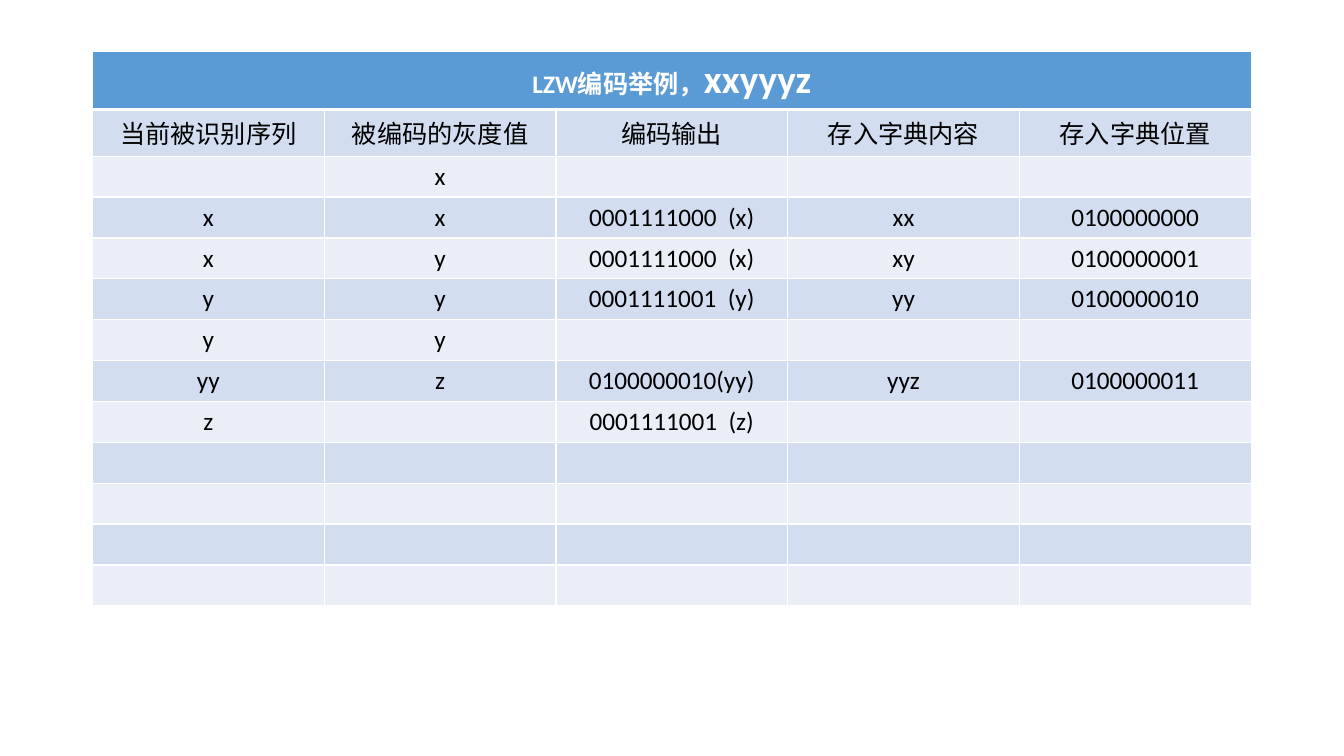
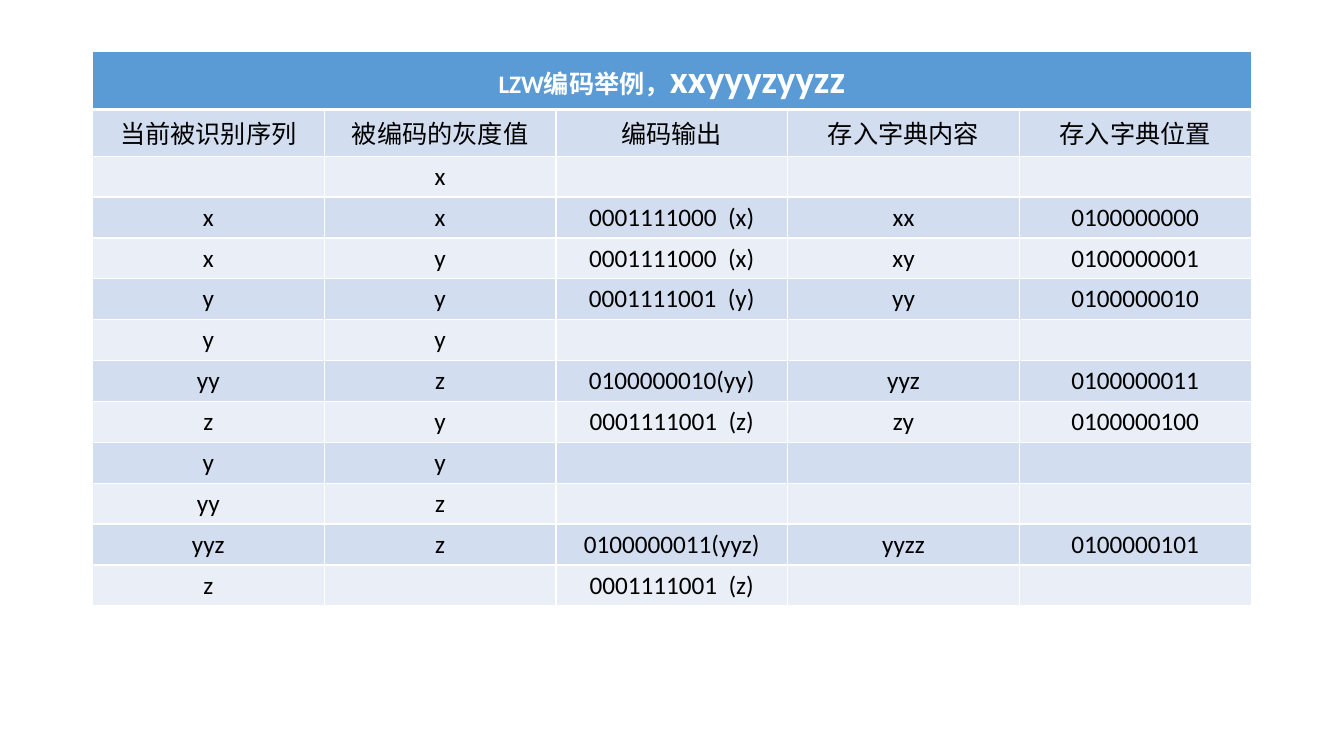
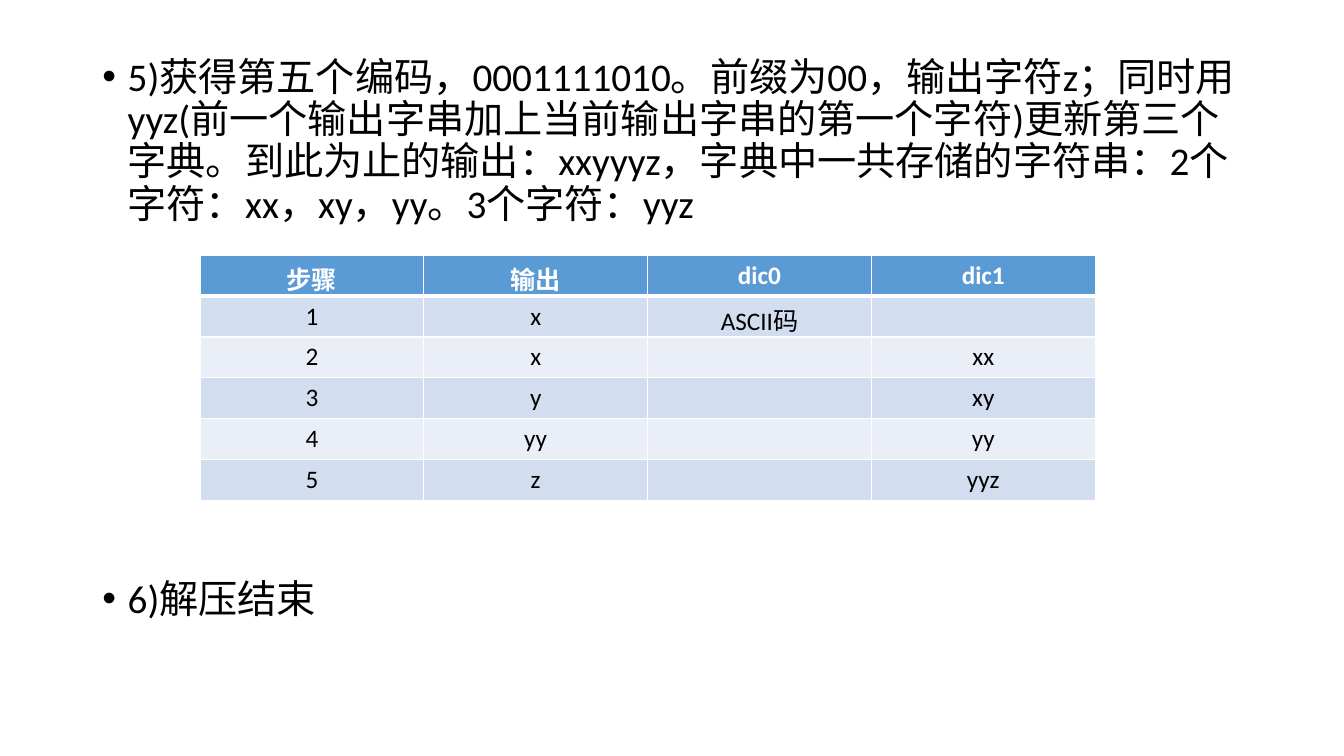
from pptx import Presentation
from pptx.dml.color import RGBColor
from pptx.enum.text import PP_ALIGN
from pptx.oxml.ns import qn
from pptx.util import Cm, Pt
from lxml.etree import SubElement

FONT = "Calibri"
HEADER_BLUE = RGBColor(0x5B, 0x9B, 0xD5)
BAND_DARK = RGBColor(0xD2, 0xDE, 0xEF)
BAND_LIGHT = RGBColor(0xEA, 0xEF, 0xF7)
WHITE = RGBColor(0xFF, 0xFF, 0xFF)
BLACK = RGBColor(0x00, 0x00, 0x00)

MARGIN_LEFT = Cm(2.33)
ROW_HEIGHT = Cm(1.03)
TABLE_SIZE = 18
LARGE_SIZE = 28
ENCODING_ROW_COUNT = 13

ENCODING_TITLE = "LZW编码举例，"
ENCODING_START = [
    ("当前被识别序列", "被编码的灰度值", "编码输出", "存入字典内容", "存入字典位置"),
    ("", "x", "", "", ""),
    ("x", "x", "0001111000  (x)", "xx", "0100000000"),
    ("x", "y", "0001111000  (x)", "xy", "0100000001"),
    ("y", "y", "0001111001  (y)", "yy", "0100000010"),
    ("y", "y", "", "", ""),
    ("yy", "z", "0100000010(yy)", "yyz", "0100000011"),
]
LAST_CODE = ("z", "", "0001111001  (z)", "", "")
ENCODINGS = [
    ("xxyyyz", [LAST_CODE]),
    ("xxyyyzyyzz", [
        ("z", "y", "0001111001  (z)", "zy", "0100000100"),
        ("y", "y", "", "", ""),
        ("yy", "z", "", "", ""),
        ("yyz", "z", "0100000011(yyz)", "yyzz", "0100000101"),
        LAST_CODE,
    ]),
]

DECODING_STEPS = [
    ("5)获得第五个编码，0001111010。前缀为00，输出字符z；同时用yyz(前一个输出字串加上当前输出字串的"
     "第一个字符)更新第三个字典。到此为止的输出：xxyyyz，字典中一共存储的字符串："
     "2个字符：xx，xy，yy。3个字符：yyz", 10),
    ("6)解压结束", 252),
]
DECODING_ROWS = [
    ("步骤", "输出", "dic0", "dic1"),
    ("1", "x", "ASCII码", ""),
    ("2", "x", "", "xx"),
    ("3", "y", "", "xy"),
    ("4", "yy", "", "yy"),
    ("5", "z", "", "yyz"),
]


def add_span(para, text, size, color, bold=False):
    span = para.add_run()
    span.text = text
    span.font.name = FONT
    span.font.size = Pt(size)
    span.font.bold = bold
    span.font.color.rgb = color


def add_borders(cell, row_index):
    widths = {
        "lnL": 1,
        "lnR": 1,
        "lnT": 3 if row_index == 1 else 1,
        "lnB": 3 if row_index == 0 else 1,
    }
    properties = cell._tc.get_or_add_tcPr()
    for side, width in widths.items():
        line = SubElement(properties, qn(f"a:{side}"), w=str(Pt(width)))
        fill = SubElement(line, qn("a:solidFill"))
        SubElement(fill, qn("a:srgbClr"), val=str(WHITE))


def add_banded_table(page, rows, left, top, column_width):
    column_count = len(rows[-1])
    table = page.shapes.add_table(
        len(rows), column_count, left, top,
        column_width * column_count, ROW_HEIGHT * len(rows),
    ).table
    for column in table.columns:
        column.width = column_width
    for row_index, row in enumerate(rows):
        table.rows[row_index].height = ROW_HEIGHT
        is_header = row_index == 0
        band = BAND_DARK if row_index % 2 else BAND_LIGHT
        for column_index in range(column_count):
            cell = table.cell(row_index, column_index)
            add_borders(cell, row_index)
            cell.fill.solid()
            cell.fill.fore_color.rgb = HEADER_BLUE if is_header else band
            para = cell.text_frame.paragraphs[0]
            para.alignment = PP_ALIGN.CENTER
            text = row[column_index] if column_index < len(row) else ""
            if text:
                add_span(para, text, TABLE_SIZE, WHITE if is_header else BLACK, is_header)
    return table


def add_encoding_page(deck, sequence, ending):
    page = deck.slides.add_slide(deck.slide_layouts[6])
    rows = [(ENCODING_TITLE,)] + ENCODING_START + ending
    blank_row = ("",) * len(ENCODING_START[0])
    rows += [blank_row] * (ENCODING_ROW_COUNT - len(rows))
    table = add_banded_table(page, rows, MARGIN_LEFT, Cm(1.3), Cm(5.84))
    title = table.cell(0, 0)
    title.merge(table.cell(0, len(blank_row) - 1))
    add_span(title.text_frame.paragraphs[0], sequence, LARGE_SIZE, WHITE, True)


def add_bullet(para):
    properties = para._p.get_or_add_pPr()
    indent = Cm(0.64)
    properties.set("marL", str(indent))
    properties.set("indent", str(-indent))
    SubElement(properties, qn("a:buFont"), typeface="Arial")
    SubElement(properties, qn("a:buChar"), char="•")


def add_decoding_page(deck):
    page = deck.slides.add_slide(deck.slide_layouts[6])
    box = page.shapes.add_textbox(MARGIN_LEFT, Cm(1.32), Cm(29.21), Cm(15.82))
    frame = box.text_frame
    frame.word_wrap = True
    for index, (text, space_before) in enumerate(DECODING_STEPS):
        para = frame.add_paragraph() if index else frame.paragraphs[0]
        para.line_spacing = 0.9
        para.space_before = Pt(space_before)
        add_bullet(para)
        add_span(para, text, LARGE_SIZE, BLACK)
    add_banded_table(page, DECODING_ROWS, Cm(5.04), Cm(6.43), Cm(5.64))


def main():
    deck = Presentation()
    deck.slide_width = Cm(33.87)
    deck.slide_height = Cm(19.05)
    for sequence, ending in ENCODINGS:
        add_encoding_page(deck, sequence, ending)
    add_decoding_page(deck)
    deck.save("out.pptx")


if __name__ == "__main__":
    main()
